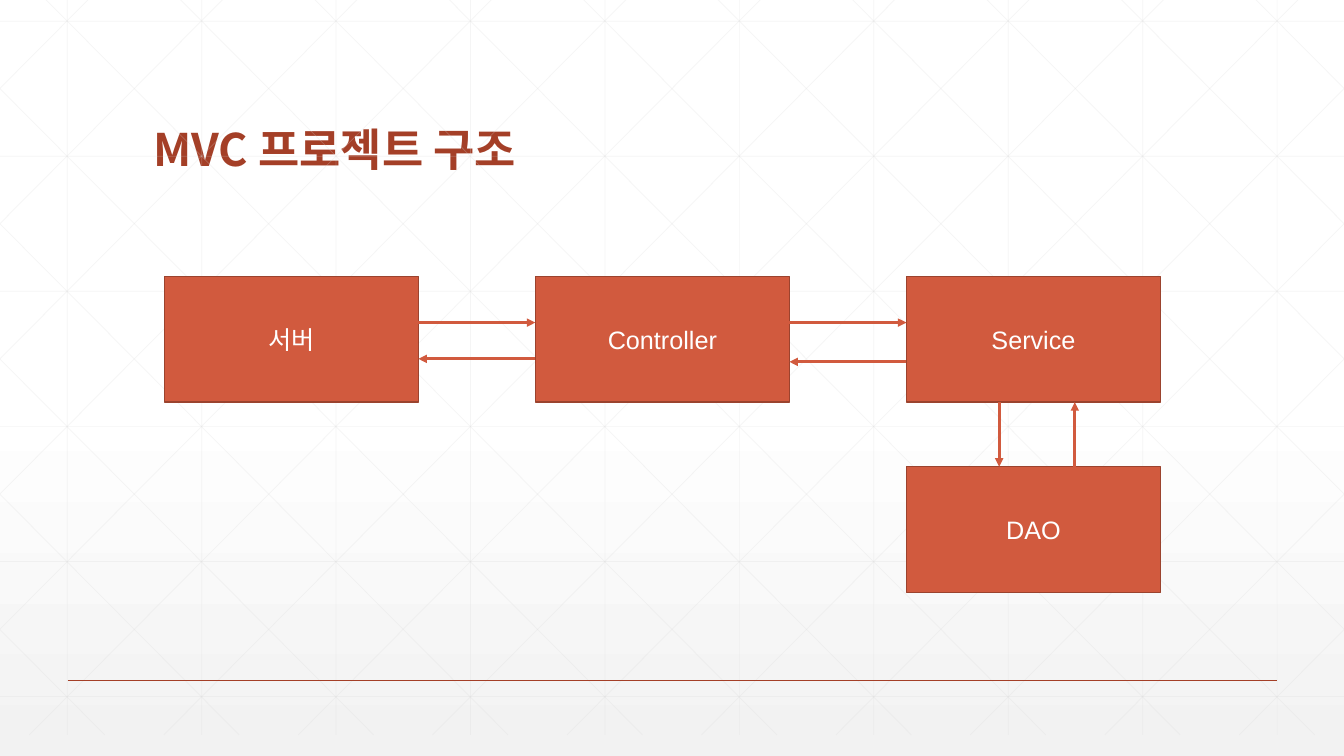
"""Builds the MVC project structure slide."""
from lxml.etree import SubElement as Sub
from pptx import Presentation
from pptx.dml.color import RGBColor as RGB
from pptx.enum.shapes import MSO_CONNECTOR as Conn, MSO_SHAPE as Shape
from pptx.enum.text import MSO_ANCHOR as Anchor, PP_ALIGN as Align
from pptx.oxml.ns import qn
from pptx.util import Inches, Pt

HUES = {"white": "FFFFFF", "fade": "F2F2F2", "grid": "D9D9D9",
        "dark": "A43F27", "edge": "9B432E", "main": "D15A3E"}
WIDE, HIGH = 13.33, 7.5


def hue(name):
    """Return the named colour."""
    return RGB.from_string(HUES[name])


def write(shape, text, size=18, font="Arial", color="white", bold=False,
          align=Align.CENTER, anchor=Anchor.MIDDLE, space=1.0):
    """Put formatted text into a shape."""
    frame = shape.text_frame
    frame.word_wrap = True
    frame.vertical_anchor = anchor
    para = frame.paragraphs[0]
    para.alignment, para.line_spacing = align, space
    run = para.add_run()
    run.text = text
    run.font.size, run.font.bold, run.font.name = Pt(size), bold, font
    run.font.color.rgb = hue(color)
    Sub(shape.element.find(".//" + qn("a:rPr")), qn("a:ea"), typeface=font)


class Deck:
    """Holds the style and the current slide."""

    def __init__(self):
        """Open a title-only slide."""
        self.show = Presentation()
        self.show.slide_width, self.show.slide_height = Inches(WIDE), Inches(HIGH)
        self.slide = self.show.slides.add_slide(self.show.slide_layouts[5])

    def back(self):
        """Fade the background towards the bottom."""
        fill = self.slide.background.fill
        fill.gradient()
        fill.gradient_angle = 270
        for stop, spot, name in zip(fill.gradient_stops, (0.53, 1), ("white", "fade")):
            stop.position = spot
            stop.color.rgb = hue(name)

    def title(self, text, x, y, w, h):
        """Place and fill the title."""
        head = self.slide.shapes.title
        head.left, head.top, head.width, head.height = map(Inches, (x, y, w, h))
        write(head, text, size=32, font="Noto Sans CJK KR", color="dark", bold=True,
              align=Align.LEFT, anchor=Anchor.BOTTOM, space=0.9)

    def line(self, x1, y1, x2, y2, color="main", width=2, alpha=None, arrow=False):
        """Draw a straight line, with an arrowhead at its end if asked."""
        link = self.slide.shapes.add_connector(
            Conn.STRAIGHT, *map(Inches, (x1, y1, x2, y2)))
        link.line.width = Pt(width)
        link.line.color.rgb = hue(color)
        props = link.element.spPr
        stroke = props.find(qn("a:ln"))
        if alpha:
            Sub(stroke.find(".//" + qn("a:srgbClr")), qn("a:alpha"), val=str(alpha * 1000))
        if arrow:
            Sub(stroke, qn("a:tailEnd"), type="triangle")
        Sub(props, qn("a:effectLst"))

    def grid(self, top=-0.21, end=7.29, step=4 / 3, run=7.455):
        """Draw the pale lattice of straight and slanted lines."""
        pale = {"color": "grid", "width": 0.5, "alpha": 25}
        for i in range(10):
            x = step * (i + 0.5)
            self.line(x, top, x, end, **pale)
        for i in range(6):
            y = 0.21 + 1.34 * i
            self.line(0, y, WIDE, y, **pale)
        slope = (end - top) / run
        for i in range(-5, 10):
            x = 0.25 + step * i
            x1, x2 = max(x, 0), min(x + run, WIDE)
            y1, y2 = top + (x1 - x) * slope, top + (x2 - x) * slope
            self.line(x1, y1, x2, y2, **pale)
            self.line(WIDE - x1, y1, WIDE - x2, y2, **pale)

    def box(self, text, x, y, w, h):
        """Draw a labelled box."""
        rect = self.slide.shapes.add_shape(Shape.RECTANGLE, *map(Inches, (x, y, w, h)))
        rect.shadow.inherit = False
        rect.fill.solid()
        rect.fill.fore_color.rgb = hue("main")
        rect.line.color.rgb = hue("edge")
        rect.line.width = Pt(1)
        write(rect, text)


def main():
    """Build and save the slide."""
    deck = Deck()
    deck.back()
    deck.grid()
    deck.line(0.67, 6.75, 12.67, 6.75, color="dark", width=1)
    deck.title("MVC 프로젝트 구조", 1.42, 0.55, 10.5, 1.25)
    left, top, wide, high, pitch, low = 1.63, 2.74, 2.52, 1.25, 3.68, 4.63
    cols = [left + pitch * i for i in range(3)]
    for text, x in zip(("서버", "Controller", "Service"), cols):
        deck.box(text, x, top, wide, high)
    deck.box("DAO", cols[2], low, wide, high)
    for x, near, y in zip(cols, cols[1:], (3.56, 3.59)):
        deck.line(x + wide, 3.2, near, 3.2, arrow=True)
        deck.line(near, y, x + wide, y, arrow=True)
    deck.line(9.91, top + high, 9.91, low, arrow=True)
    deck.line(10.66, low, 10.66, top + high, arrow=True)
    deck.show.save("out.pptx")


if __name__ == "__main__":
    main()
